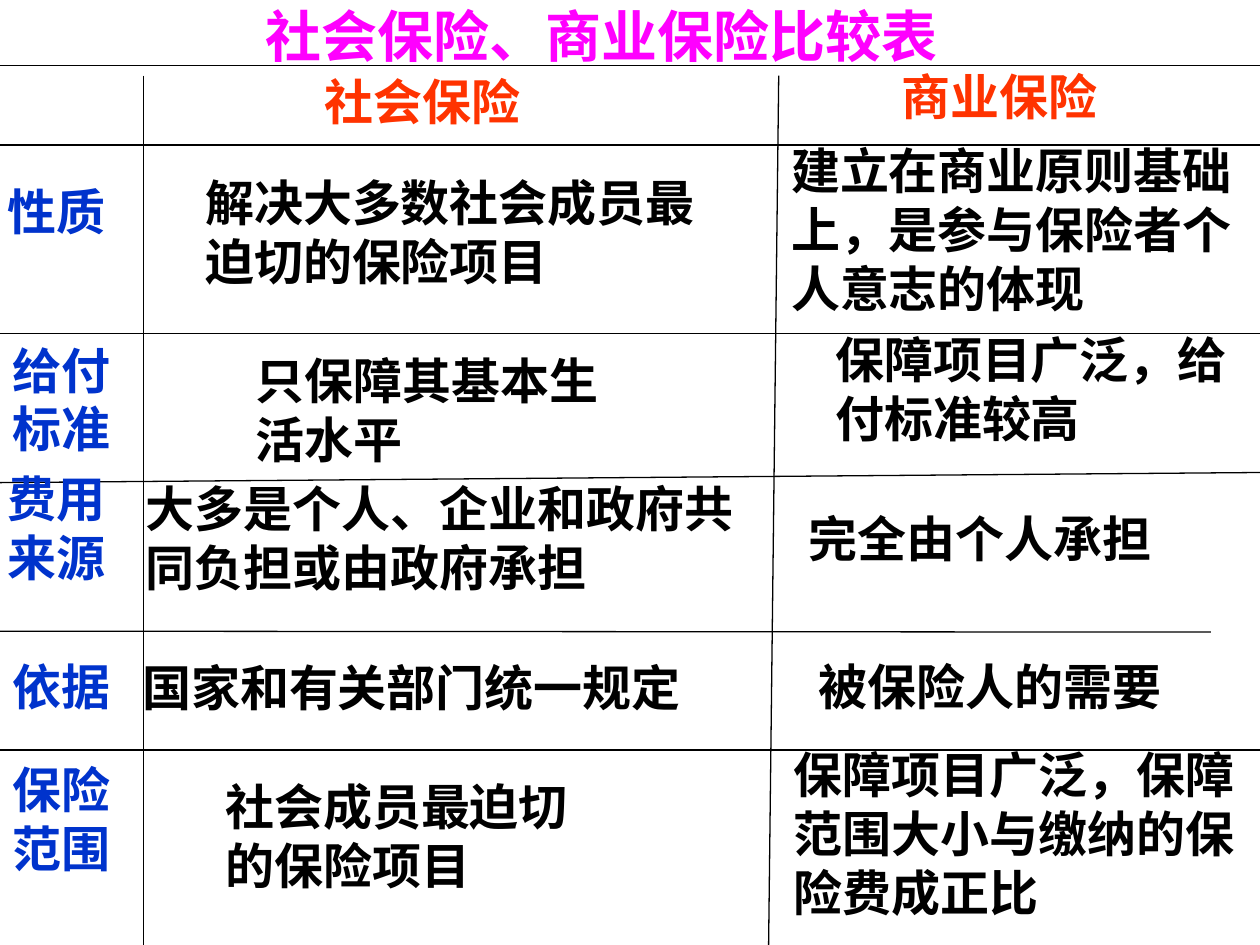
from typing import NamedTuple

from lxml import etree
from pptx import Presentation
from pptx.dml.color import RGBColor
from pptx.enum import shapes, text
from pptx.oxml import ns
from pptx.util import Pt

FONT = "Times New Roman"
BLACK, BLUE, RED, MAGENTA = "000000", "0033CC", "FF3300", "FF00FF"
WIDTH, HEIGHT = 720, 540


class Entry(NamedTuple):
    """Wording of one table entry, with its place in points and its line count."""
    wording: str
    left: float
    top: float
    width: float
    lines: int = 1


class Rule(NamedTuple):
    """Ends of one ruling line, in points."""
    x1: float
    y1: float
    x2: float
    y2: float


RULES = [
    Rule(0, 37.5, WIDTH, 37.5),
    Rule(0, 82.8, WIDTH, 82.8),
    Rule(0, 190.7, WIDTH, 190.7),
    Rule(0, 275.8, WIDTH, 270),
    Rule(0, 360.7, 692, 361.2),
    Rule(0, 428.6, WIDTH, 428.6),
    Rule(82, 43.2, 82, HEIGHT),
    Rule(445, 43.2, 439.2, HEIGHT),
]

TITLE = Entry("社会保险、商业保险比较表", 144.7, -2.9, 399)

COLUMN_HEADS = [
    Entry("社会保险", 178.6, 37.5, 187),
    Entry("商业保险", 508.3, 34.6, 212),
]

ROW_HEADS = [
    Entry("性质", -2.9, 100, 119),
    Entry("给付\n标准", 0, 190.8, 122, 2),
    Entry("费用\n来源", -2.9, 264.2, 119, 2),
    Entry("依据", 0, 371.5, 105),
    Entry("保险\n范围", 0, 430.6, 127, 2),
]

CELLS = [
    Entry("解决大多数社会成员最迫切的保险项目", 110.2, 95, 317.5, 2),
    Entry("建立在商业原则基础上，是参与保险者个人意志的体现", 445, 77, 286.6, 3),
    Entry("只保障其基本生活水平", 139, 196.6, 221, 2),
    Entry("保障项目广泛，给付标准较高", 470.2, 185, 250, 2),
    Entry("大多是个人、企业和政府共同负担或由政府承担", 76.3, 270, 368.6, 2),
    Entry("完全由个人承担", 455, 287.3, 279.4),
    Entry("国家和有关部门统一规定", 74.2, 372.2, 388),
    Entry("被保险人的需要", 460.8, 371.5, 259.2),
    Entry("社会成员最迫切的保险项目", 121.7, 440, 218.2, 2),
    Entry("保障项目广泛，保障范围大小与缴纳的保险费成正比", 446.4, 422, 272.2, 3),
]


def colour(value: str) -> RGBColor:
    return RGBColor.from_string(value)


def draw_rule(page, rule: Rule) -> None:
    line = page.shapes.add_connector(
        shapes.MSO_CONNECTOR.STRAIGHT, *(Pt(value) for value in rule))
    line.line.color.rgb = colour(BLACK)
    line.line.width = Pt(0.75)
    properties = line.element.find(ns.qn("p:spPr"))
    etree.SubElement(properties, ns.qn("a:effectLst"))


def draw_entry(page, entry: Entry, *, fill: str = BLACK, size: float = 28,
               wrap: bool = True) -> None:
    height = 1.2 * size * entry.lines + 7.2
    box = page.shapes.add_textbox(
        Pt(entry.left), Pt(entry.top), Pt(entry.width), Pt(height))
    frame = box.text_frame
    frame.text = entry.wording
    frame.word_wrap = wrap
    frame.auto_size = text.MSO_AUTO_SIZE.SHAPE_TO_FIT_TEXT
    for para in frame.paragraphs:
        for span in para.runs:
            span.font.name = FONT
            span.font.size = Pt(size)
            span.font.bold = True
            span.font.color.rgb = colour(fill)


def main() -> None:
    deck = Presentation()
    deck.slide_width, deck.slide_height = Pt(WIDTH), Pt(HEIGHT)
    page = deck.slides.add_slide(deck.slide_layouts[6])

    for rule in RULES:
        draw_rule(page, rule)
    draw_entry(page, TITLE, fill=MAGENTA, size=32, wrap=False)
    for entries, fill in ((COLUMN_HEADS, RED), (ROW_HEADS, BLUE), (CELLS, BLACK)):
        for entry in entries:
            draw_entry(page, entry, fill=fill)

    deck.save("out.pptx")


if __name__ == "__main__":
    main()
